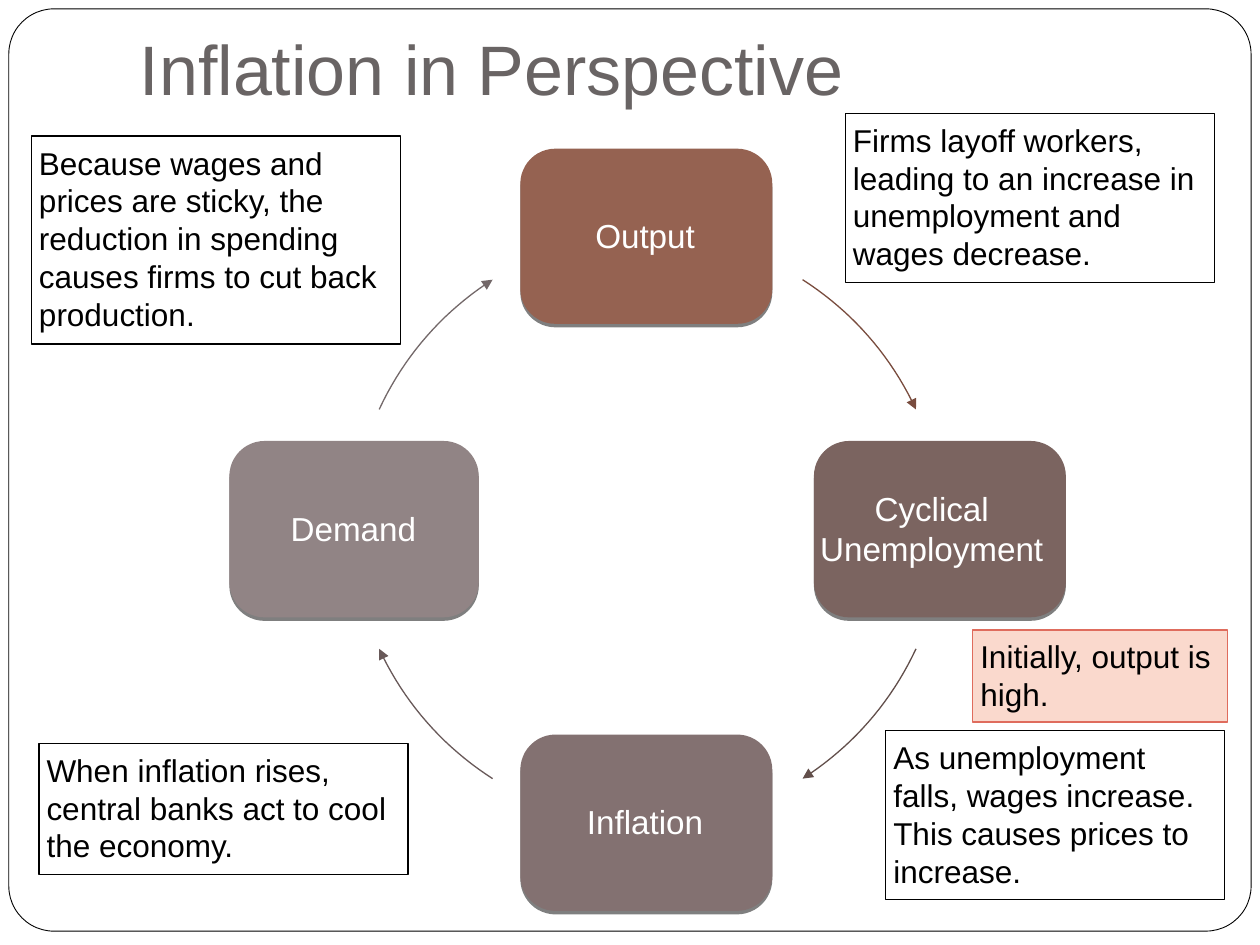
from lxml import etree
from pptx import Presentation
from pptx.dml.color import RGBColor
from pptx.enum import shapes, text
from pptx.oxml import ns
from pptx.util import Inches, Pt

COLORS = {
    "white": "FFFFFF", "black": "000000", "title": "696464",
    "peach": "FAD9CD", "coral": "DF6C5D",
}
FONT = "Arial"
CENTER = (5.14, 4.2)
# Bezier control points of one arc, as offsets from the centre of the cycle
ARC = [(1.23, 1.98), (1.62, 1.73), (1.93, 1.38), (2.13, 0.95)]
ARC_STEPS = 20

# label, node box, label box, node fill, arrow colour, arrow quadrant
STAGES = [
    ("Output", (4.13, 1.18, 2, 1.39), (4.2, 1.64, 1.84, 0.46),
     "956251", "794C3E", (1, -1)),
    ("Cyclical Unemployment", (6.46, 3.5, 2, 1.4), (6.41, 3.62, 1.97, 1.14),
     "7B6460", "624F4B", (1, 1)),
    ("Inflation", (4.13, 5.83, 2, 1.4), (4.2, 6.29, 1.84, 0.46),
     "837171", "685959", (-1, 1)),
    ("Demand", (1.82, 3.5, 1.98, 1.4), (1.89, 3.96, 1.83, 0.46),
     "918485", "736869", (-1, -1)),
]

NOTES = [
    ("As unemployment falls, wages increase. This causes prices to increase.",
     (7.03, 5.8, 2.69, 1.34), None, "black"),
    ("When inflation rises, central banks act to cool the economy.",
     (0.31, 5.9, 2.93, 1.04), None, "black"),
    ("Because wages and prices are sticky, the reduction in spending causes "
     "firms to cut back production.",
     (0.25, 1.08, 2.93, 1.65), None, "black"),
    ("Firms layoff workers, leading to an increase in unemployment and wages "
     "decrease.",
     (6.71, 0.9, 2.93, 1.34), None, "black"),
    ("Initially, output is high.", (7.72, 5, 2.02, 0.73), "peach", "coral"),
]


def rgb(value):
    return RGBColor.from_string(COLORS.get(value, value))


def add_text(slide, content, box, size, color,
             anchor=text.MSO_ANCHOR.TOP, align=text.PP_ALIGN.LEFT):
    s = slide.shapes.add_textbox(*map(Inches, box))
    tf = s.text_frame
    tf.word_wrap = True
    tf.vertical_anchor = anchor
    tf.margin_left = tf.margin_right = Inches(0.06)
    tf.margin_top = tf.margin_bottom = Inches(0.06)
    tf.text = content
    p = tf.paragraphs[0]
    p.alignment = align
    font = p.runs[0].font
    font.name, font.size = FONT, Pt(size)
    font.color.rgb = rgb(color)
    return s


def add_round_rect(slide, box, radius, fill):
    s = slide.shapes.add_shape(shapes.MSO_SHAPE.ROUNDED_RECTANGLE,
                               *map(Inches, box))
    s.adjustments[0] = radius
    s.shadow.inherit = False
    s.fill.solid()
    s.fill.fore_color.rgb = rgb(fill)
    s.line.fill.background()
    return s


def add_frame(slide):
    s = add_round_rect(slide, (0.07, 0.07, 9.86, 7.32), 0.049, "white")
    s.line.color.rgb = rgb("black")
    s.line.width = Pt(0.5)


def add_drop_shadow(s):
    """Half-transparent shadow, 2 pt straight down, without blur."""
    effects = s._element.spPr.find(ns.qn("a:effectLst"))
    shadow = etree.SubElement(effects, ns.qn("a:outerShdw"), blurRad="0",
                              dist=str(Pt(2)), dir="5400000", rotWithShape="0")
    color = etree.SubElement(shadow, ns.qn("a:srgbClr"), val=COLORS["black"])
    etree.SubElement(color, ns.qn("a:alpha"), val="50000")


def bezier(points, t):
    weights = ((1 - t) ** 3, 3 * t * (1 - t) ** 2, 3 * t * t * (1 - t), t ** 3)
    return tuple(sum(w * p[axis] for w, p in zip(weights, points))
                 for axis in (0, 1))


def add_arc_arrow(slide, quadrant, color):
    """Clockwise arc in the quadrant given by the signs of x and y."""
    sx, sy = quadrant
    controls = [(CENTER[0] + sx * x, CENTER[1] + sy * y) for x, y in ARC]
    if sx == sy:
        controls.reverse()
    curve = [tuple(map(Inches, bezier(controls, i / ARC_STEPS)))
             for i in range(ARC_STEPS + 1)]
    builder = slide.shapes.build_freeform(*curve[0])
    builder.add_line_segments(curve[1:], close=False)
    s = builder.convert_to_shape()
    s.shadow.inherit = False
    s.fill.background()
    s.line.color.rgb = rgb(color)
    s.line.width = Pt(0.75)
    etree.SubElement(s.line._get_or_add_ln(), ns.qn("a:tailEnd"),
                     type="triangle")


def add_stage(slide, label, box, label_box, fill, arrow_color, quadrant):
    add_drop_shadow(add_round_rect(slide, box, 0.2, fill))
    add_text(slide, label, label_box, 19, "white",
             text.MSO_ANCHOR.MIDDLE, text.PP_ALIGN.CENTER)
    add_arc_arrow(slide, quadrant, arrow_color)


def add_note(slide, content, box, fill, line):
    s = add_text(slide, content, box, 18, "black")
    if fill:
        s.fill.solid()
        s.fill.fore_color.rgb = rgb(fill)
    s.line.color.rgb = rgb(line)
    s.line.width = Pt(0.75)


def main():
    prs = Presentation()
    prs.slide_width, prs.slide_height = Inches(10), Inches(7.5)
    slide = prs.slides.add_slide(prs.slide_layouts[6])
    add_frame(slide)
    add_text(slide, "Inflation in Perspective", (1.05, 0, 8.5, 0.93), 40,
             "title", text.MSO_ANCHOR.BOTTOM)
    for stage in STAGES:
        add_stage(slide, *stage)
    for note in NOTES:
        add_note(slide, *note)
    prs.save("out.pptx")


if __name__ == "__main__":
    main()
